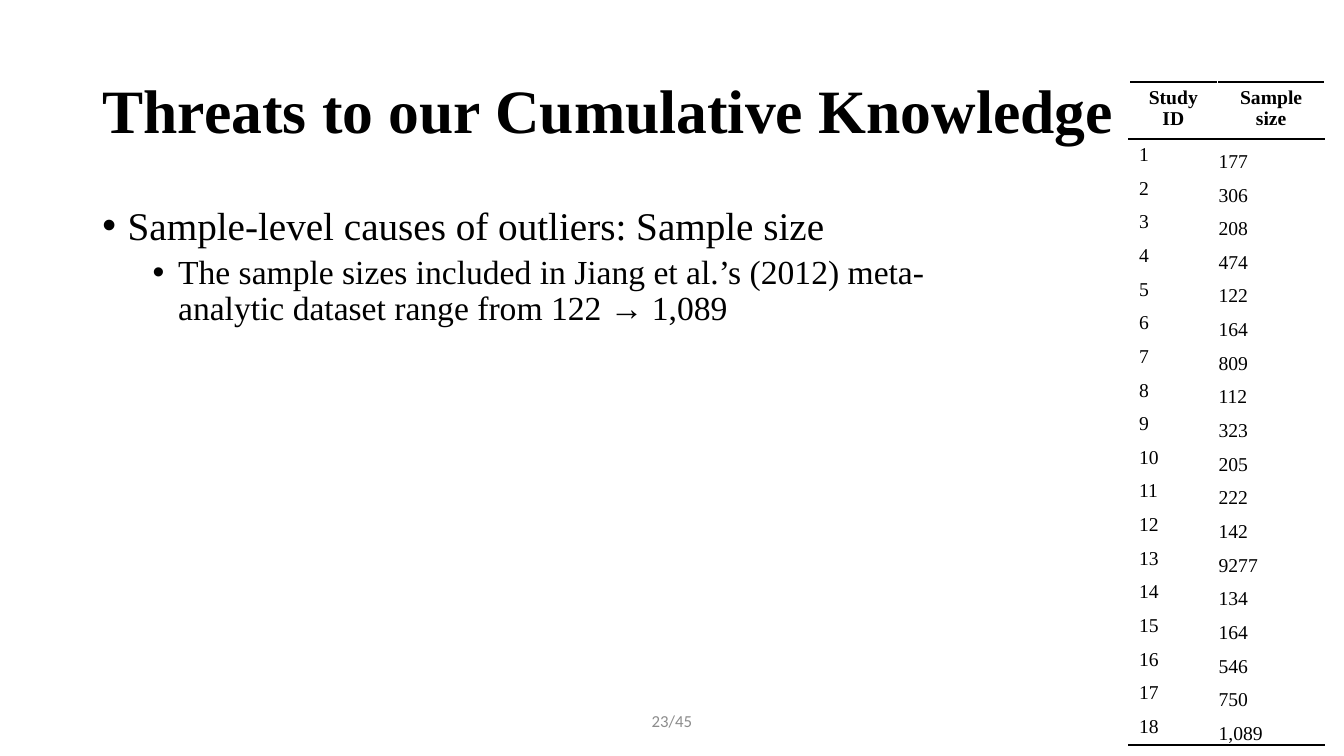
from pptx import Presentation
from pptx.dml.color import RGBColor
from pptx.enum.text import MSO_ANCHOR, MSO_AUTO_SIZE, PP_ALIGN
from pptx.oxml.ns import qn
from pptx.util import Cm, Pt
from lxml import etree

MIDDLE, BOTTOM, TOP = MSO_ANCHOR.MIDDLE, MSO_ANCHOR.BOTTOM, MSO_ANCHOR.TOP
LEFT, CENTER = PP_ALIGN.LEFT, PP_ALIGN.CENTER
NO_AUTOFIT = MSO_AUTO_SIZE.NONE

SERIF, SANS = "Times New Roman", "Calibri"
BLACK, WHITE, GREY = "000000", "FFFFFF", "8C8C8C"

SAMPLE_SIZES = ["177", "306", "208", "474", "122", "164", "809", "112", "323",
                "205", "222", "142", "9277", "134", "164", "546", "750", "1,089"]


def rgb(color):
    return RGBColor.from_string(color)


def style(paragraph, size, font=SERIF, color=BLACK, bold=False, align=LEFT):
    paragraph.alignment = align
    paragraph.font.name = font
    paragraph.font.size = Pt(size)
    paragraph.font.bold = bold
    paragraph.font.color.rgb = rgb(color)


def set_title(slide, text):
    title = slide.shapes.title
    title.left, title.top, title.width, title.height = Cm(2.33), Cm(1.01), Cm(29.21), Cm(3.68)
    frame = title.text_frame
    frame.text = text
    frame.auto_size = NO_AUTOFIT
    frame.vertical_anchor = MIDDLE
    style(frame.paragraphs[0], 44, bold=True)
    frame.paragraphs[0].line_spacing = 0.9


def add_text_box(slide, left, top, width, height, anchor):
    frame = slide.shapes.add_textbox(Cm(left), Cm(top), Cm(width), Cm(height)).text_frame
    frame.word_wrap = True
    frame.vertical_anchor = anchor
    return frame


def make_bullet(paragraph, text, level, size, space_before):
    paragraph.text = text
    paragraph.level = level
    style(paragraph, size)
    paragraph.line_spacing = 0.9
    paragraph.space_before = Pt(space_before)
    properties = paragraph._p.get_or_add_pPr()
    properties.set("marL", str(Cm(0.64 + 1.27 * level)))
    properties.set("indent", str(-Cm(0.64)))
    bullet_font = etree.Element(qn("a:buFont"), typeface="Arial")
    bullet_char = etree.Element(qn("a:buChar"), char="•")
    default_run = properties.find(qn("a:defRPr"))
    default_run.addprevious(bullet_font)
    default_run.addprevious(bullet_char)


def set_borders(cell, top, bottom):
    properties = cell._tc.get_or_add_tcPr()
    sides = {"L": (WHITE, 1), "R": (WHITE, 1), "T": top, "B": bottom}
    for side, (color, width) in sides.items():
        line = etree.SubElement(properties, qn(f"a:ln{side}"), w=str(Pt(width)))
        fill = etree.SubElement(line, qn("a:solidFill"))
        etree.SubElement(fill, qn("a:srgbClr"), val=color)


def fill_cell(cell, text, top, bottom, header=False):
    cell.text = text
    style(cell.text_frame.paragraphs[0], 14, bold=header, align=CENTER if header else LEFT)
    set_borders(cell, top, bottom)
    cell.fill.background()


def add_study_table(slide):
    rows = [("Study ID", "Sample size")]
    rows += [(str(study), size) for study, size in enumerate(SAMPLE_SIZES, 1)]
    last = len(rows) - 1
    table = slide.shapes.add_table(len(rows), 2, Cm(28.45), Cm(2.06),
                                   Cm(4.93), Cm(0.79 * len(rows))).table
    table.first_row = table.horz_banding = False
    table.columns[0].width, table.columns[1].width = Cm(2.24), Cm(2.69)

    rule, thin, plain = (BLACK, 1.5), (BLACK, 1), (WHITE, 1)
    for index, (study, size) in enumerate(rows):
        table.rows[index].height = Cm(0.79)
        top = {0: rule, 1: thin}.get(index, plain)
        bottom = {0: thin, last: rule}.get(index, plain)
        study_cell, size_cell = table.cell(index, 0), table.cell(index, 1)
        fill_cell(study_cell, study, top, bottom, header=index == 0)
        fill_cell(size_cell, size, top, bottom, header=index == 0)
        if index:
            size_cell.vertical_anchor = BOTTOM
            size_cell.margin_left = size_cell.margin_right = size_cell.margin_top = Cm(0.02)
            size_cell.margin_bottom = 0


def main():
    presentation = Presentation()
    presentation.slide_width, presentation.slide_height = Cm(33.87), Cm(19.05)
    slide = presentation.slides.add_slide(presentation.slide_layouts[5])

    # Title
    set_title(slide, "Threats to our Cumulative Knowledge")

    # Bulleted argument
    argument = add_text_box(slide, 2.33, 5.07, 23.06, 12.09, TOP)
    make_bullet(argument.paragraphs[0], "Sample-level causes of outliers: Sample size", 0, 28, 10)
    make_bullet(argument.add_paragraph(),
                "The sample sizes included in Jiang et al.’s (2012) meta-analytic "
                "dataset range from 122 → 1,089", 1, 24, 5)

    # Sample size of each study
    add_study_table(slide)

    # Page number
    page_number = add_text_box(slide, 11.22, 17.66, 11.43, 1.01, MIDDLE).paragraphs[0]
    page_number.text = "23/45"
    style(page_number, 12, SANS, GREY, align=CENTER)

    presentation.save("out.pptx")


if __name__ == "__main__":
    main()
